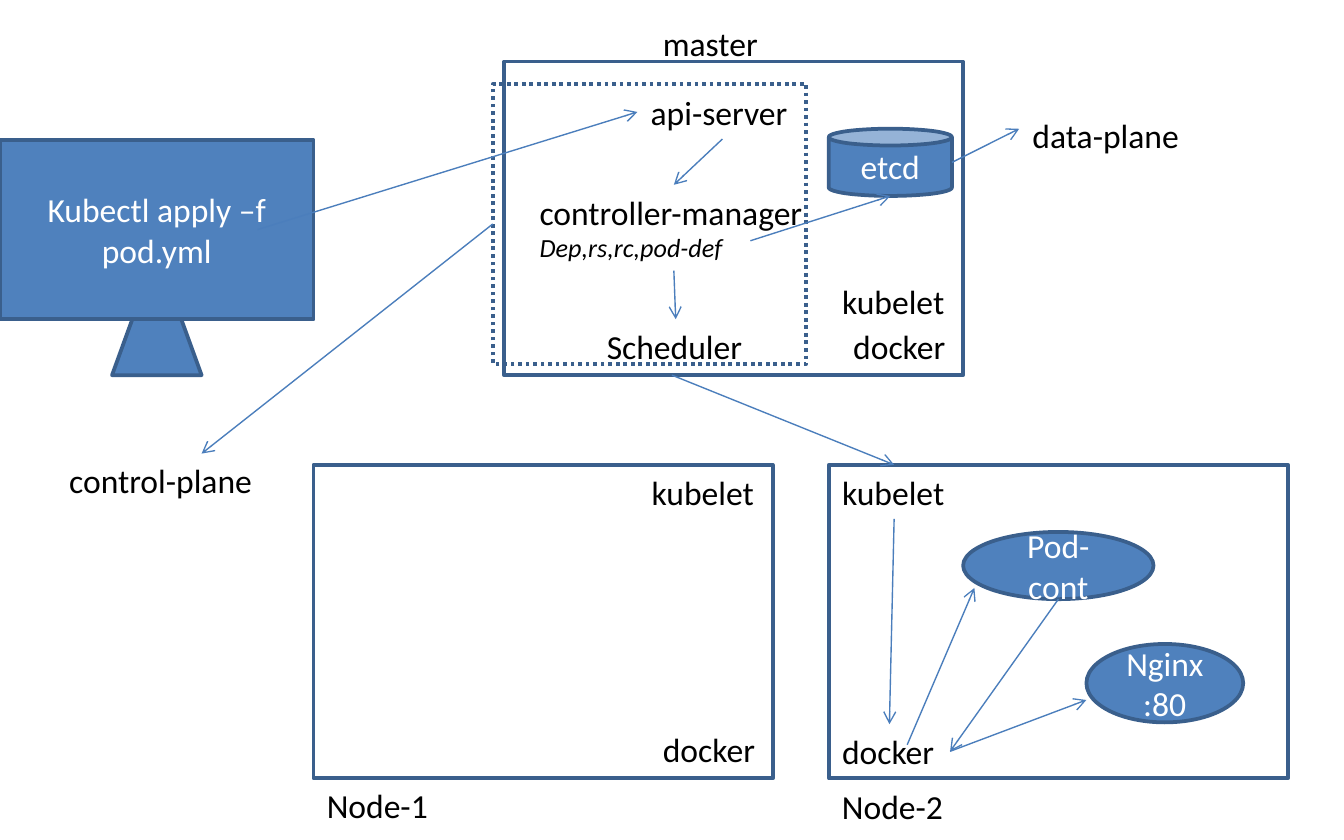
from lxml import etree
from pptx import Presentation
from pptx.dml.color import RGBColor
from pptx.enum.dml import MSO_LINE_DASH_STYLE as Dash
from pptx.enum.shapes import MSO_CONNECTOR as Link, MSO_SHAPE as Kind
from pptx.enum.text import MSO_ANCHOR as Anchor, MSO_AUTO_SIZE as Auto, PP_ALIGN as Align
from pptx.oxml.ns import qn
from pptx.util import Pt

BLUE, EDGE, ARROW = "4F81BD", "3A5F8C", "4B7EBC"
BLACK, WHITE = "000000", "FFFFFF"
TOP, LEFT, BOTTOM, RIGHT = range(4)
NODE = (246, 168)


def paint(color, value):
    color.rgb = RGBColor.from_string(value)


def style(para, color, size=18, italic=None):
    for run in para.runs:
        font = run.font
        font.name, font.size, font.italic = "Calibri", Pt(size), italic
        paint(font.color, color)


def shape(slide, kind, x, y, w, h, text="", fill=None):
    item = slide.shapes.add_shape(kind, Pt(x), Pt(y), Pt(w), Pt(h))
    item.shadow.inherit = False
    if fill:
        item.fill.solid()
        paint(item.fill.fore_color, fill)
    else:
        item.fill.background()
    paint(item.line.color, EDGE)
    item.line.width = Pt(2)
    if text:
        frame = item.text_frame
        frame.text = text
        frame.word_wrap = True
        frame.vertical_anchor = Anchor.MIDDLE
        frame.paragraphs[0].alignment = Align.CENTER
        style(frame.paragraphs[0], WHITE)
    return item


def label(slide, text, x, y, w, h=29):
    box = slide.shapes.add_textbox(Pt(x), Pt(y), Pt(w), Pt(h))
    frame = box.text_frame
    frame.text = text
    frame.word_wrap = False
    frame.auto_size = Auto.SHAPE_TO_FIT_TEXT
    for para in frame.paragraphs:
        style(para, BLACK)
    return box


def arrow(slide, start, end):
    """Draw an arrow; each end is an (x, y) point or a (shape, side) pair."""
    free = [(0, 0) if hasattr(p[0], "shape_id") else p for p in (start, end)]
    line = slide.shapes.add_connector(Link.STRAIGHT, *(Pt(v) for p in free for v in p))
    if hasattr(start[0], "shape_id"):
        line.begin_connect(*start)
    if hasattr(end[0], "shape_id"):
        line.end_connect(*end)
    paint(line.line.color, ARROW)
    line.line.width = Pt(0.75)
    etree.SubElement(line.line._get_or_add_ln(), qn("a:tailEnd"), type="arrow")
    etree.SubElement(line._element.spPr, qn("a:effectLst"))


def monitor(slide, x, y):
    shape(slide, Kind.ISOSCELES_TRIANGLE, x + 60, y + 60, 48, 66, fill=BLUE)
    shape(slide, Kind.RECTANGLE, x, y, 168, 96, "Kubectl apply –f pod.yml", BLUE)


def node(slide, x, y, name, name_at, kubelet_at, docker_at):
    """Frame a machine with its name and agents; return the two agent labels."""
    shape(slide, Kind.RECTANGLE, x, y, *NODE)
    spots = (name, name_at, 72), ("kubelet", kubelet_at, 70), ("docker", docker_at, 65)
    boxes = [label(slide, text, x + dx, y + dy, w) for text, (dx, dy), w in spots]
    return boxes[1:]


def master(slide, x, y):
    """Draw the master; return its api-server and its control frame."""
    node(slide, x, y, "master", (78, -24.5), (174, 114), (180, 138))
    api = label(slide, "api-server", x + 71.5, y + 12.5, 91)
    manager = label(slide, "controller-manager\nDep,rs,rc,pod-def", x + 12, y + 66, 158, 46)
    style(manager.text_frame.paragraphs[1], BLACK, 14, True)
    planner = label(slide, "Scheduler", x + 48, y + 138, 88)
    shape(slide, Kind.CAN, x + 174, y + 36, 66, 36, "etcd", BLUE)
    control = shape(slide, Kind.RECTANGLE, x - 6, y + 12, 168, 150)
    control.line.dash_style = Dash.ROUND_DOT
    arrow(slide, (api, BOTTOM), (manager, TOP))
    arrow(slide, (manager, BOTTOM), (planner, TOP))
    arrow(slide, (x + 132, y + 96), (x + 207, y + 72))
    return api, control


def worker(slide, x, y):
    """Draw the node that runs the pod; return its kubelet."""
    kubelet, docker = node(slide, x, y, "Node-2", (0, 168.5), (0, 0), (0, 139))
    shape(slide, Kind.OVAL, x + 72, y + 36, 102, 36, "Pod-cont", BLUE)
    shape(slide, Kind.OVAL, x + 138, y + 96, 84, 42, "Nginx:80", BLUE)
    arrow(slide, (kubelet, BOTTOM), (docker, TOP))
    arrow(slide, (x + 42, y + 150), (x + 78, y + 66))
    arrow(slide, (x + 123, y + 72), (docker, RIGHT))
    arrow(slide, (docker, RIGHT), (x + 138, y + 126))
    return kubelet


def planes(slide, control):
    label(slide, "control-plane", 30, 243, 114)
    arrow(slide, (control, LEFT), (108, 243))
    label(slide, "data-plane", 546, 58, 96)
    arrow(slide, (510, 87), (546, 69))


def main():
    deck = Presentation()
    deck.slide_width, deck.slide_height = Pt(720), Pt(450)
    slide = deck.slides.add_slide(deck.slide_layouts[6])
    monitor(slide, 0, 75)
    api, control = master(slide, 270, 33)
    node(slide, 168, 249, "Node-1", (0, 168), (174, 0), (180, 138))
    kubelet = worker(slide, 444, 249)
    arrow(slide, (138, 123), (api, LEFT))
    arrow(slide, (360, 201), (kubelet, TOP))
    planes(slide, control)
    deck.save("out.pptx")


if __name__ == "__main__":
    main()
